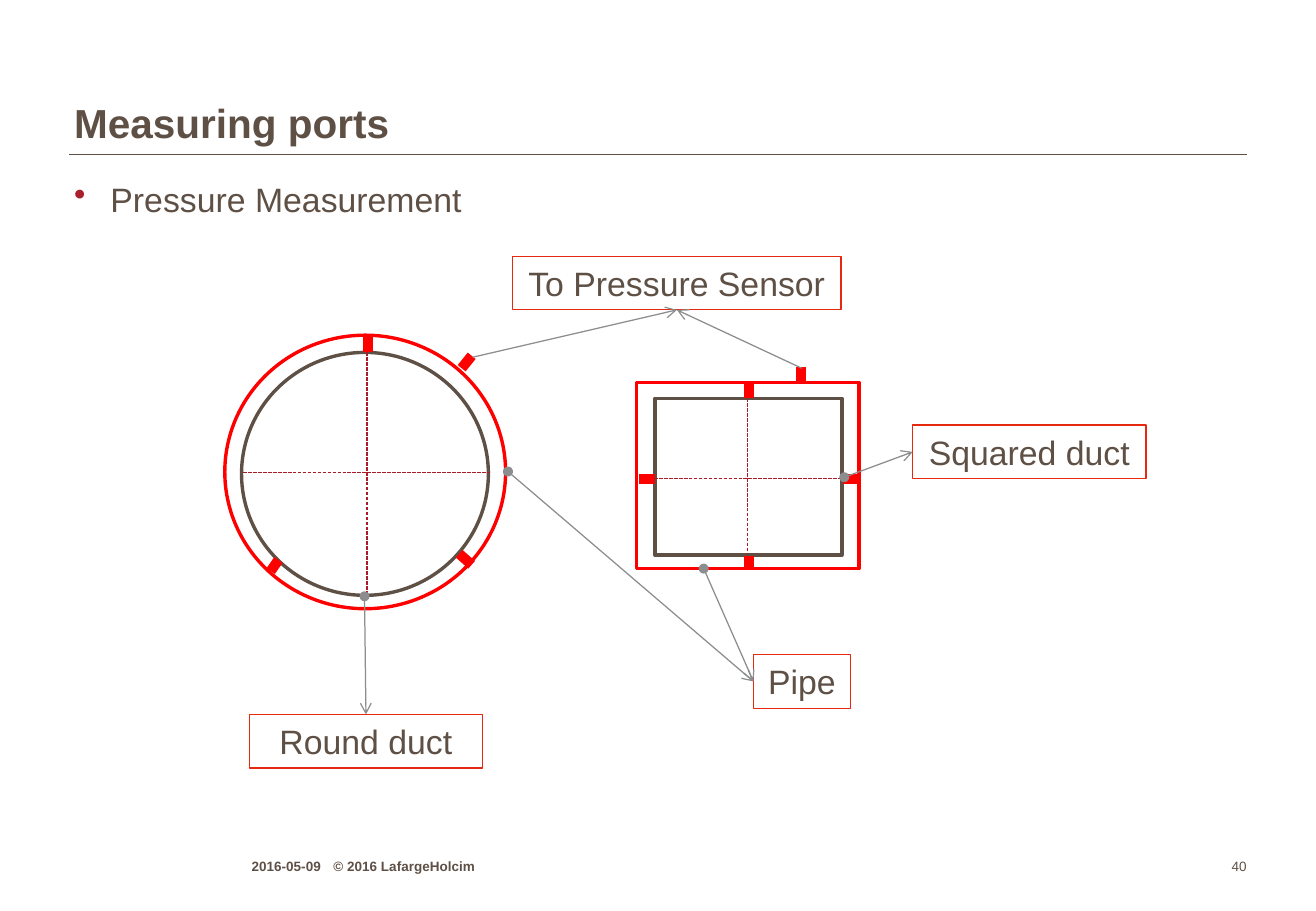
from lxml import etree
from pptx import Presentation, util as u
from pptx.dml.color import RGBColor
from pptx.enum import dml, shapes, text
from pptx.oxml.ns import qn

BROWN, RED, GRAY = "5F5046", "FF0000", "8B8D8E"
AXIS, LABEL, BULLET = "AA1A29", "E6280F", "AA1E2D"

deck = Presentation()
deck.slide_width, deck.slide_height = u.Cm(27.51), u.Cm(19.05)
page = deck.slides.add_slide(deck.slide_layouts[6])


def color(value):
    return RGBColor.from_string(value)


def add_line(ends, stroke, width):
    line = page.shapes.add_connector(
        shapes.MSO_CONNECTOR.STRAIGHT, *[u.Cm(value) for value in ends])
    line.line.color.rgb = color(stroke)
    line.line.width = u.Pt(width)
    etree.SubElement(line._element.spPr, qn("a:effectLst"))
    return line


add_line((1.45, 3.23, 26.06, 3.23), BROWN, 1)

texts = [
    ("Pressure Measurement", (1.55, 3.73, 24.41, 1.19), 20, False, "TOP", "LEFT"),
    ("Measuring ports", (1.55, 0.91, 24.38, 2.19), 24, True, "BOTTOM", "LEFT"),
    ("2016-05-09\t© 2016 LafargeHolcim", (5.26, 17.83, 8.81, 0.46), 8, True, "BOTTOM", "LEFT"),
    ("40", (24.87, 17.83, 1.19, 0.46), 8, False, "BOTTOM", "RIGHT"),
]
for words, place, size, bold, anchor, align in texts:
    box = page.shapes.add_textbox(*[u.Cm(value) for value in place])
    frame = box.text_frame
    frame.word_wrap = True
    frame.margin_left = frame.margin_right = frame.margin_top = frame.margin_bottom = 0
    frame.vertical_anchor = text.MSO_ANCHOR[anchor]
    para = frame.paragraphs[0]
    para.text = words
    para.alignment = text.PP_ALIGN[align]
    props = para._p.get_or_add_pPr()
    if words == "Pressure Measurement":
        props.set("marL", str(u.Cm(0.76)))
        props.set("indent", str(-u.Cm(0.76)))
        bullet_color = etree.SubElement(props, qn("a:buClr"))
        etree.SubElement(bullet_color, qn("a:srgbClr"), val=BULLET)
        etree.SubElement(props, qn("a:buChar"), char="•")
    if "\t" in words:
        tabs = etree.SubElement(props, qn("a:tabLst"))
        etree.SubElement(tabs, qn("a:tab"), pos=str(u.Cm(1.71)), algn="l")
    if words == "Measuring ports":
        para.line_spacing = 0.95
    para.font.name = "Arial"
    para.font.size = u.Pt(size)
    para.font.bold = bold
    para.font.color.rgb = color(BROWN)

outlines = [
    ("RECTANGLE", (13.69, 8.33, 3.91, 3.28), BROWN),
    ("RECTANGLE", (13.31, 8.0, 4.65, 3.89), RED),
    ("OVAL", (4.7, 7.01, 5.87, 5.72), RED),
    ("OVAL", (5.05, 7.37, 5.16, 5.08), BROWN),
]
for kind, place, stroke in outlines:
    outline = page.shapes.add_shape(
        shapes.MSO_SHAPE[kind], *[u.Cm(value) for value in place])
    outline.shadow.inherit = False
    outline.fill.background()
    outline.line.color.rgb = color(stroke)
    outline.line.width = u.Pt(2)

square_ports = [
    (13.36, 10.01, 13.69, 10.01), (15.65, 11.63, 15.65, 11.89),
    (15.65, 8.0, 15.65, 8.33), (17.63, 10.01, 17.96, 10.01),
    (16.74, 7.67, 16.74, 8.03),
]
round_ports = [
    (7.7, 7.01, 7.7, 7.37), (5.82, 11.71, 5.66, 11.94),
    (9.6, 11.58, 9.86, 11.81), (9.86, 7.44, 9.65, 7.7),
]
for ends in square_ports + round_ports:
    add_line(ends, RED, 6)

axes = [
    (15.62, 8.33, 15.62, 11.61), (13.67, 10.01, 17.6, 10.01),
    (7.67, 7.37, 7.67, 12.45), (5.08, 9.88, 10.24, 9.88),
]
for ends in axes:
    axis = add_line(ends, AXIS, 0.75)
    axis.line.dash_style = dml.MSO_LINE.SQUARE_DOT

TOP, LEFT, BOTTOM = 0, 1, 2
labels = [
    ("To Pressure Sensor", (10.72, 5.36, 6.86, 1.12), BOTTOM, False,
     [(9.88, 7.47), (16.76, 7.7)]),
    ("Round duct", (5.21, 14.94, 4.88, 1.12), TOP, True, [(7.62, 12.47)]),
    ("Squared duct", (19.08, 8.89, 4.88, 1.12), LEFT, True, [(17.65, 9.98)]),
    ("Pipe", (15.75, 13.69, 2.03, 1.12), LEFT, True, [(14.71, 11.89), (10.62, 9.86)]),
]
for words, place, side, dotted, starts in labels:
    label = page.shapes.add_shape(
        shapes.MSO_SHAPE.RECTANGLE, *[u.Cm(value) for value in place])
    label.shadow.inherit = False
    label.fill.background()
    label.line.color.rgb = color(LABEL)
    label.line.width = u.Pt(0.75)
    frame = label.text_frame
    frame.word_wrap = True
    para = frame.paragraphs[0]
    para.text = words
    para.alignment = text.PP_ALIGN.CENTER
    para.font.name = "Arial"
    para.font.size = u.Pt(20)
    para.font.color.rgb = color(BROWN)
    for start in starts:
        arrow = add_line(start + start, GRAY, 0.75)
        arrow.end_connect(label, side)
        stroke = arrow.line._get_or_add_ln()
        if dotted:
            etree.SubElement(stroke, qn("a:headEnd"), type="oval")
        etree.SubElement(stroke, qn("a:tailEnd"), type="arrow")

deck.save("out.pptx")
